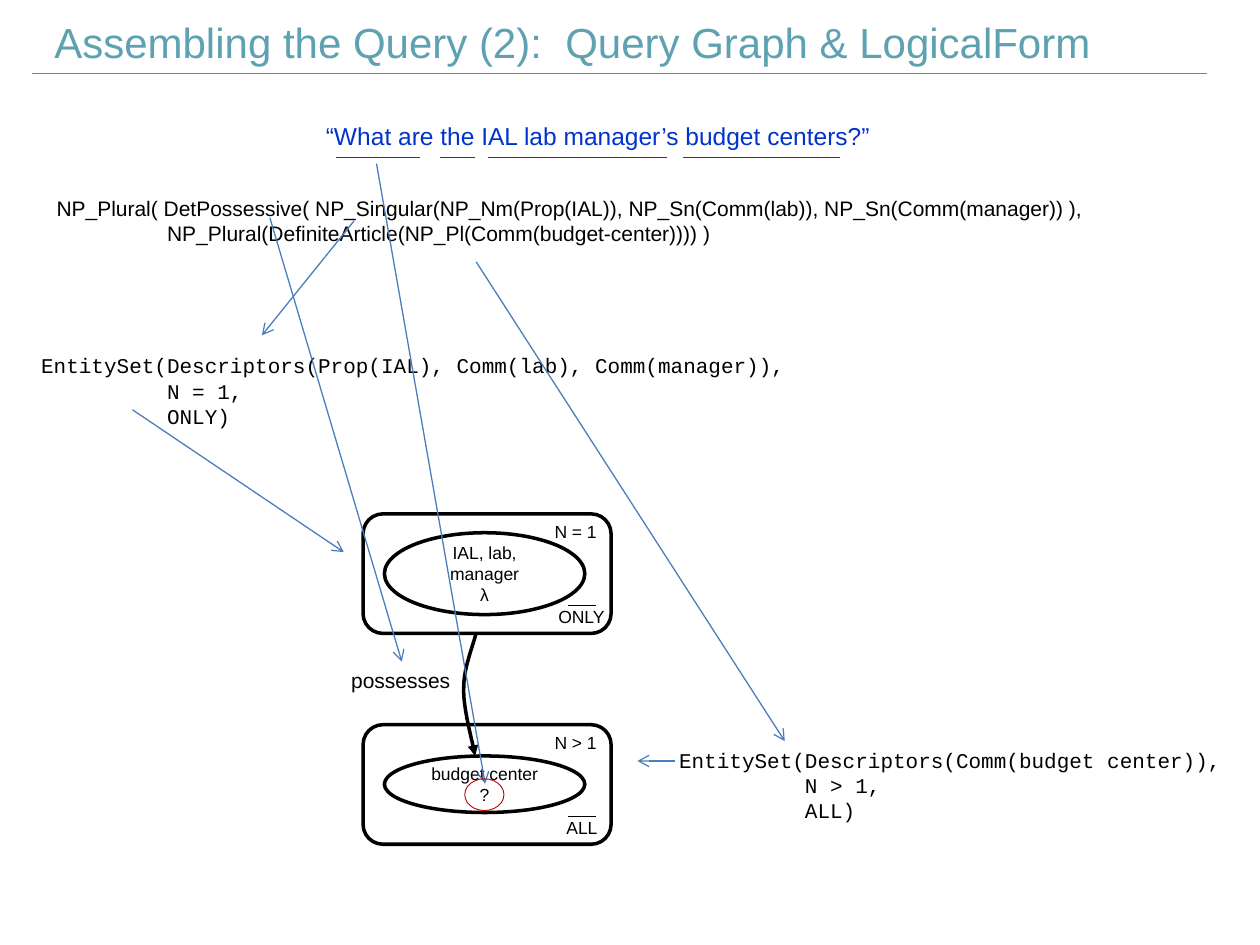
"""Build the slide on assembling a query graph and its logical form."""
from dataclasses import dataclass

from lxml import etree
from pptx import Presentation
from pptx.dml.color import RGBColor
from pptx.enum import shapes, text
from pptx.oxml import ns
from pptx.util import Cm, Pt


@dataclass(frozen=True)
class Theme:
    """Colours, fonts and type sizes of the slide."""
    heading: str = "5EA1B0"
    question: str = "0033CC"
    ink: str = "000000"
    rule: str = "808080"
    accent: str = "C00000"
    arrow: str = "4B7EBC"
    sans: str = "Arial"
    mono: str = "Courier New"
    heading_size: int = 24
    question_size: int = 14
    body_size: int = 12
    label_size: int = 10
    heavy: float = 2
    thin: float = 0.75


THEME = Theme()


@dataclass(frozen=True)
class Passage:
    """Lines of text with their box and type."""
    lines: tuple[str, ...]
    box: tuple[float, float, float, float]
    size: int = THEME.body_size
    face: str = THEME.sans
    colour: str = THEME.ink
    wrap: bool = False
    second_indent: float = 0


@dataclass(frozen=True)
class Node:
    """One entity set in the query graph."""
    top: float
    lines: tuple[str, ...]
    oval_top: float
    oval_height: float
    count: str
    quantifier: str
    quantifier_width: float


HEADING = Passage(("Assembling the Query (2):  Query Graph & LogicalForm",),
                  (0.84, 0.2, 21.62, 1.27), THEME.heading_size, colour=THEME.heading)
QUESTION = Passage(("“What are the IAL lab manager’s budget centers?”",),
                   (6.32, 2.31, 11.53, 0.86), THEME.question_size, colour=THEME.question)
RELATION = Passage(("possesses",), (6.83, 13.34, 2.51, 0.76))
PARSE = Passage(
    ("NP_Plural( DetPossessive( NP_Singular(NP_Nm(Prop(IAL)), NP_Sn(Comm(lab)), NP_Sn(Comm(manager)) ),",
     "NP_Plural(DefiniteArticle(NP_Pl(Comm(budget-center)))) )"),
    (0.89, 3.81, 22.81, 1.27), wrap=True, second_indent=2.23)
ENTITY_SETS = (
    Passage(("EntitySet(Descriptors(Prop(IAL), Comm(lab), Comm(manager)),",
             "          N = 1,", "          ONLY)"),
            (0.58, 6.99, 15.75, 1.8), face=THEME.mono),
    Passage(("EntitySet(Descriptors(Comm(budget center)),",
             "          N > 1,", "          ALL)"),
            (13.44, 14.94, 11.61, 1.8), face=THEME.mono),
)
MANAGER = Node(10.36, ("IAL, lab, manager", "λ"), 0.38, 1.65, "N = 1", "ONLY", 1.47)
CENTER = Node(14.61, ("budget center", "?"), 0.63, 1.14, "N > 1", "ALL", 1.14)
NODE_LEFT, NODE_WIDTH, NODE_HEIGHT = 7.32, 5, 2.41
UNDERLINES = ((6.78, 8.46), (8.86, 9.58), (9.83, 13.44), (13.77, 16.94))
ARROWS = (
    (7.14, 4.45, 5.28, 6.76),
    (9.6, 5.28, 15.82, 14.94),
    (2.67, 8.26, 6.93, 11.13),
    (13.61, 15.34, 12.85, 15.34),
    (5.44, 4.39, 8.1, 13.34),
    (7.59, 3.3, 9.78, 15.8),
)
POSSESSES_CURVE = (
    ((9.6, 12.75), (9.55, 13), (9.35, 13.44), (9.35, 13.84)),
    ((9.35, 13.84), (9.32, 14.25), (9.55, 15.04), (9.58, 15.24)),
)


def apply(target, values: dict) -> None:
    """Set each named attribute on the target."""
    for name, value in values.items():
        setattr(target, name, value)


def write(frame, passage: Passage, align=text.PP_ALIGN.LEFT, anchor=text.MSO_ANCHOR.TOP) -> None:
    """Fill a text frame with the lines of a passage."""
    apply(frame, {"word_wrap": passage.wrap, "vertical_anchor": anchor})
    for index, line in enumerate(passage.lines):
        paragraph = frame.paragraphs[0] if index == 0 else frame.add_paragraph()
        paragraph.alignment = align
        if index and passage.second_indent:
            paragraph._p.get_or_add_pPr().set("marL", str(Cm(passage.second_indent)))
        run = paragraph.add_run()
        run.text = line
        apply(run.font, {"name": passage.face, "size": Pt(passage.size)})
        run.font.color.rgb = RGBColor.from_string(passage.colour)


def add_passage(canvas, passage: Passage) -> None:
    """Add a text box holding a passage."""
    box = canvas.add_textbox(*map(Cm, passage.box))
    write(box.text_frame, passage)


def stroke(shape, colour: str, width: float, head: str = "") -> None:
    """Set the line of a shape and an optional arrowhead at its end."""
    shape.line.color.rgb = RGBColor.from_string(colour)
    shape.line.width = Pt(width)
    if head:
        etree.SubElement(shape.line._get_or_add_ln(), ns.qn("a:tailEnd"), type=head)


def add_line(canvas, ends: tuple, colour: str, width: float = THEME.thin, head: str = "") -> None:
    """Add a straight line between two points."""
    line = canvas.add_connector(shapes.MSO_CONNECTOR.STRAIGHT, *map(Cm, ends))
    stroke(line, colour, width, head)
    etree.SubElement(line._element.spPr, ns.qn("a:effectLst"))


def add_outline(canvas, kind, box: tuple, colour: str = THEME.ink, width: float = THEME.heavy):
    """Add an unfilled preset shape."""
    outline = canvas.add_shape(kind, *map(Cm, box))
    outline.shadow.inherit = False
    outline.fill.background()
    stroke(outline, colour, width)
    return outline


def add_node(canvas, node: Node) -> None:
    """Add an entity set with its descriptors, count and quantifier."""
    oval_box = (NODE_LEFT + 0.43, node.top + node.oval_top, 4.04, node.oval_height)
    oval = add_outline(canvas, shapes.MSO_SHAPE.OVAL, oval_box)
    write(oval.text_frame, Passage(node.lines, oval_box, THEME.label_size, wrap=True),
          text.PP_ALIGN.CENTER, text.MSO_ANCHOR.MIDDLE)
    add_outline(canvas, shapes.MSO_SHAPE.ROUNDED_RECTANGLE,
                (NODE_LEFT, node.top, NODE_WIDTH, NODE_HEIGHT))
    middle, bar_top = NODE_LEFT + 4.42, node.top + 1.85
    labels = (
        (node.count, (NODE_LEFT + 3.61, node.top + 0.02, 1.37, 0.69)),
        (node.quantifier, (middle - node.quantifier_width / 2, node.top + 1.73,
                           node.quantifier_width, 0.69)),
    )
    for label, box in labels:
        add_passage(canvas, Passage((label,), box, THEME.label_size))
    add_line(canvas, (middle - 0.28, bar_top, middle + 0.28, bar_top), THEME.ink)


def bezier(points: tuple, t: float) -> tuple:
    """Return the point at t on a cubic curve."""
    weights = ((1 - t) ** 3, 3 * t * (1 - t) ** 2, 3 * t * t * (1 - t), t ** 3)
    return tuple(Cm(sum(w * p[axis] for w, p in zip(weights, points))) for axis in (0, 1))


def add_curve(canvas, segments: tuple, steps: int = 12) -> None:
    """Add a curved arrow through cubic segments."""
    route = [bezier(points, step / steps) for points in segments for step in range(1, steps + 1)]
    builder = canvas.build_freeform(*bezier(segments[0], 0))
    builder.add_line_segments(route, close=False)
    curve = builder.convert_to_shape()
    curve.shadow.inherit = False
    curve.fill.background()
    stroke(curve, THEME.ink, THEME.heavy, "triangle")


def main() -> None:
    """Build and save the slide."""
    deck = Presentation()
    apply(deck, {"slide_width": Cm(25.4), "slide_height": Cm(19.05)})
    slide = deck.slides.add_slide(deck.slide_layouts[5])
    canvas = slide.shapes
    heading = canvas.title
    apply(heading, dict(zip(("left", "top", "width", "height"), map(Cm, HEADING.box))))
    write(heading.text_frame, HEADING)

    add_line(canvas, (0.64, 1.48, 24.33, 1.48), THEME.rule, 1)
    add_passage(canvas, QUESTION)
    add_curve(canvas, POSSESSES_CURVE)
    add_passage(canvas, RELATION)
    add_node(canvas, MANAGER)
    add_node(canvas.add_group_shape().shapes, CENTER)
    for start, end in UNDERLINES:
        add_line(canvas, (start, 3.18, end, 3.18), THEME.accent)
    for passage in (*ENTITY_SETS, PARSE):
        add_passage(canvas, passage)
    for ends in ARROWS:
        add_line(canvas, ends, THEME.arrow, head="arrow")
    add_outline(canvas, shapes.MSO_SHAPE.OVAL, (9.37, 15.7, 0.79, 0.64), THEME.accent, 0.5)
    deck.save("out.pptx")


if __name__ == "__main__":
    main()
